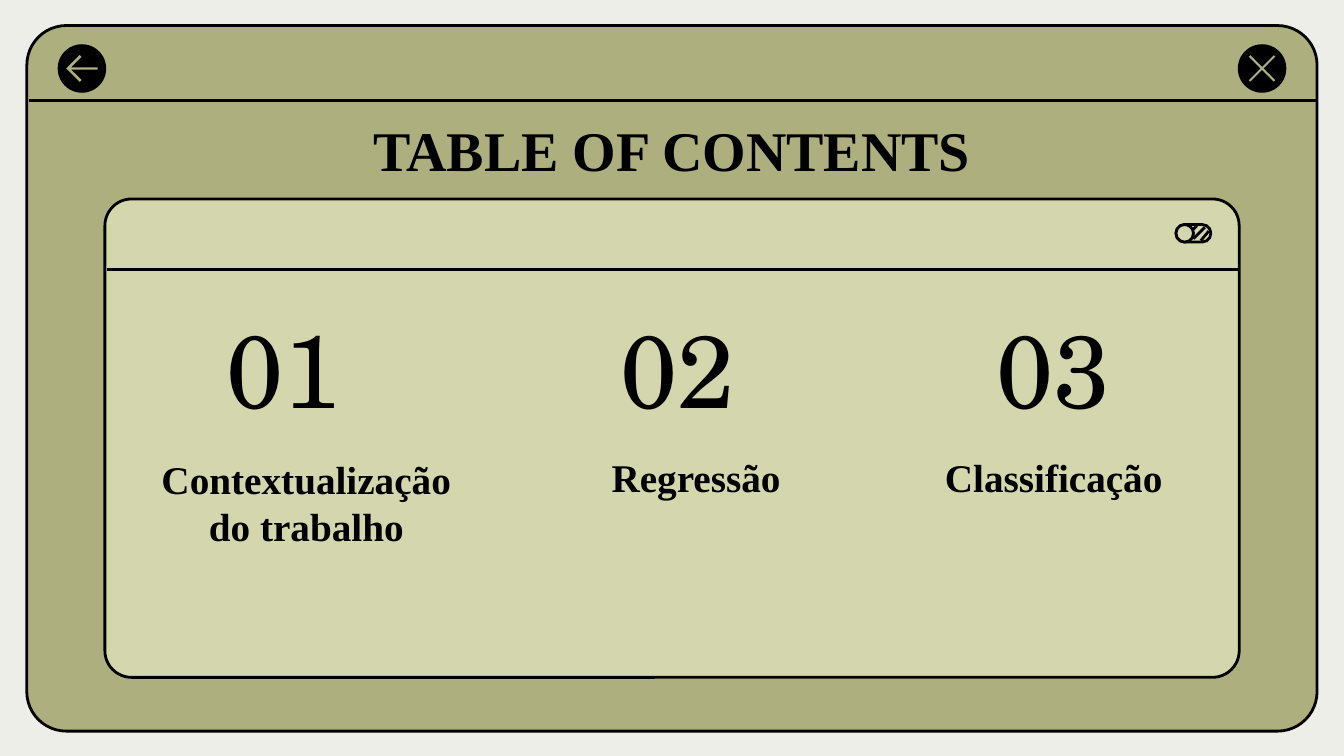
from dataclasses import dataclass

from lxml import etree
from pptx import Presentation
from pptx.dml.color import RGBColor
from pptx.enum.shapes import MSO_CONNECTOR, MSO_SHAPE
from pptx.enum.text import MSO_ANCHOR, MSO_AUTO_SIZE, PP_ALIGN
from pptx.oxml.ns import qn
from pptx.util import Pt

ROUNDED = MSO_SHAPE.ROUNDED_RECTANGLE
OVAL = MSO_SHAPE.OVAL
STRAIGHT = MSO_CONNECTOR.STRAIGHT
MIDDLE, BOTTOM = MSO_ANCHOR.MIDDLE, MSO_ANCHOR.BOTTOM
TITLE_ONLY = 5


@dataclass(frozen=True)
class Theme:
    page: RGBColor = RGBColor(0xEE, 0xEE, 0xE9)
    window: RGBColor = RGBColor(0xAD, 0xAF, 0x7E)
    panel: RGBColor = RGBColor(0xD4, 0xD7, 0xAD)
    ink: RGBColor = RGBColor(0, 0, 0)
    text_font: str = "Times New Roman"
    number_font: str = "TeX Gyre Schola"
    title_size: float = 30
    number_size: float = 55
    label_size: float = 21
    stroke: float = 1.5


THEME = Theme()

# number, number left, label, label left, label width, label height
SECTIONS = [
    ("01", 82.8, "Contextualização do trabalho", 77, 174.2, 58.3),
    ("02", 293.8, "Regressão", 303.8, 138.2, 31.7),
    ("03", 495.4, "Classificação", 495.4, 138.2, 31.7),
]
NUMBER_TOP, NUMBER_WIDTH, NUMBER_HEIGHT = 167.8, 138.2, 57.6
LABEL_TOP = 243.4

BUTTON_Y, BUTTON_SIZE = 36.7, 26
BACK_X, CLOSE_X = 43.9, 676.1
ARROW_HALF = [(-8.4, 0), (-1.2, -7.2), (-0.2, -6.2), (-5.8, -0.6), (8.4, -0.6)]
CROSS_ARM = [(-6.3, -7.1), (-7.1, -6.3), (-0.8, 0)]

TOGGLE_LEFT, TOGGLE_TOP, TOGGLE_WIDTH, TOGGLE_HEIGHT = 630, 120.3, 18.7, 9.4
TOGGLE_STRIPES = [
    (639, 123.2, 641.2, 121),
    (639.4, 127.8, 645.5, 121.7),
    (643.3, 128.9, 647.6, 123.8),
]


def add_filled(page, kind, left, top, width, height, fill, outlined=True):
    shape = page.shapes.add_shape(kind, Pt(left), Pt(top), Pt(width), Pt(height))
    paint(shape, fill, outlined)
    return shape


def paint(shape, fill, outlined):
    shape.shadow.inherit = False
    shape.fill.solid()
    shape.fill.fore_color.rgb = fill
    if outlined:
        shape.line.color.rgb = THEME.ink
        shape.line.width = Pt(THEME.stroke)
    else:
        shape.line.fill.background()


def add_line(page, x1, y1, x2, y2):
    line = page.shapes.add_connector(STRAIGHT, Pt(x1), Pt(y1), Pt(x2), Pt(y2))
    line.line.color.rgb = THEME.ink
    line.line.width = Pt(THEME.stroke)
    etree.SubElement(line._element.spPr, qn("a:effectLst"))


def add_window(page, left, top, width, height, bar_height, fill):
    """Rounded window with a line below its top bar."""
    frame = add_filled(page, ROUNDED, left, top, width, height, fill)
    frame.adjustments[0] = 0.056
    bar_y = top + bar_height
    add_line(page, left + 1, bar_y, left + width, bar_y)


def add_button(page, center_x, outline):
    """Round button with a symbol; the outline is relative to the centre."""
    radius = BUTTON_SIZE / 2
    add_filled(page, OVAL, center_x - radius, BUTTON_Y - radius,
               BUTTON_SIZE, BUTTON_SIZE, THEME.ink, outlined=False)
    points = [(Pt(center_x + x), Pt(BUTTON_Y + y)) for x, y in outline]
    builder = page.shapes.build_freeform(*points[0])
    builder.add_line_segments(points[1:], close=True)
    paint(builder.convert_to_shape(), THEME.window, outlined=False)


def arrow_outline():
    return ARROW_HALF + [(x, -y) for x, y in reversed(ARROW_HALF[1:])]


def cross_outline():
    arm, outline = CROSS_ARM, []
    for _ in range(4):
        outline += arm
        arm = [(y, -x) for x, y in arm]
    return outline


def add_toggle(page):
    for width in (TOGGLE_WIDTH, TOGGLE_HEIGHT):
        pill = add_filled(page, ROUNDED, TOGGLE_LEFT, TOGGLE_TOP,
                          width, TOGGLE_HEIGHT, THEME.panel)
        pill.adjustments[0] = 0.5
    for stripe in TOGGLE_STRIPES:
        add_line(page, *stripe)


def write(box, text, font, size, bold=False, anchor=MIDDLE, spacing=1.0):
    frame = box.text_frame
    frame.word_wrap = True
    frame.auto_size = MSO_AUTO_SIZE.NONE
    frame.vertical_anchor = anchor
    frame.margin_left = frame.margin_right = Pt(7.2)
    frame.margin_top = frame.margin_bottom = Pt(7.2)
    para = frame.paragraphs[0]
    para.alignment = PP_ALIGN.CENTER
    para.line_spacing = spacing
    span = para.add_run()
    span.text = text
    span.font.name = font
    span.font.size = Pt(size)
    span.font.bold = bold
    span.font.color.rgb = THEME.ink


def add_section(page, number, number_left, label, label_left, width, height):
    number_box = page.shapes.add_textbox(
        Pt(number_left), Pt(NUMBER_TOP), Pt(NUMBER_WIDTH), Pt(NUMBER_HEIGHT))
    write(number_box, number, THEME.number_font, THEME.number_size)
    label_box = page.shapes.add_textbox(
        Pt(label_left), Pt(LABEL_TOP), Pt(width), Pt(height))
    write(label_box, label, THEME.text_font, THEME.label_size,
          bold=True, anchor=BOTTOM)


def place_title(page, text):
    """Fill the title placeholder and bring it in front of the windows."""
    title = page.shapes.title
    title.left, title.top = Pt(56.2), Pt(61.9)
    title.width, title.height = Pt(607.7), Pt(44.6)
    write(title, text, THEME.text_font, THEME.title_size, bold=True, spacing=0.7)
    page.shapes._spTree.append(title._element)


def main():
    deck = Presentation()
    deck.slide_width, deck.slide_height = Pt(720), Pt(405)
    page = deck.slides.add_slide(deck.slide_layouts[TITLE_ONLY])
    page.background.fill.solid()
    page.background.fill.fore_color.rgb = THEME.page

    add_window(page, 14.4, 13.7, 691.2, 378, 40.1, THEME.window)
    add_window(page, 56.2, 106.6, 607.7, 256.3, 37.6, THEME.panel)
    place_title(page, "TABLE OF CONTENTS")
    for section in SECTIONS:
        add_section(page, *section)
    add_button(page, BACK_X, arrow_outline())
    add_button(page, CLOSE_X, cross_outline())
    add_toggle(page)
    deck.save("out.pptx")


if __name__ == "__main__":
    main()
